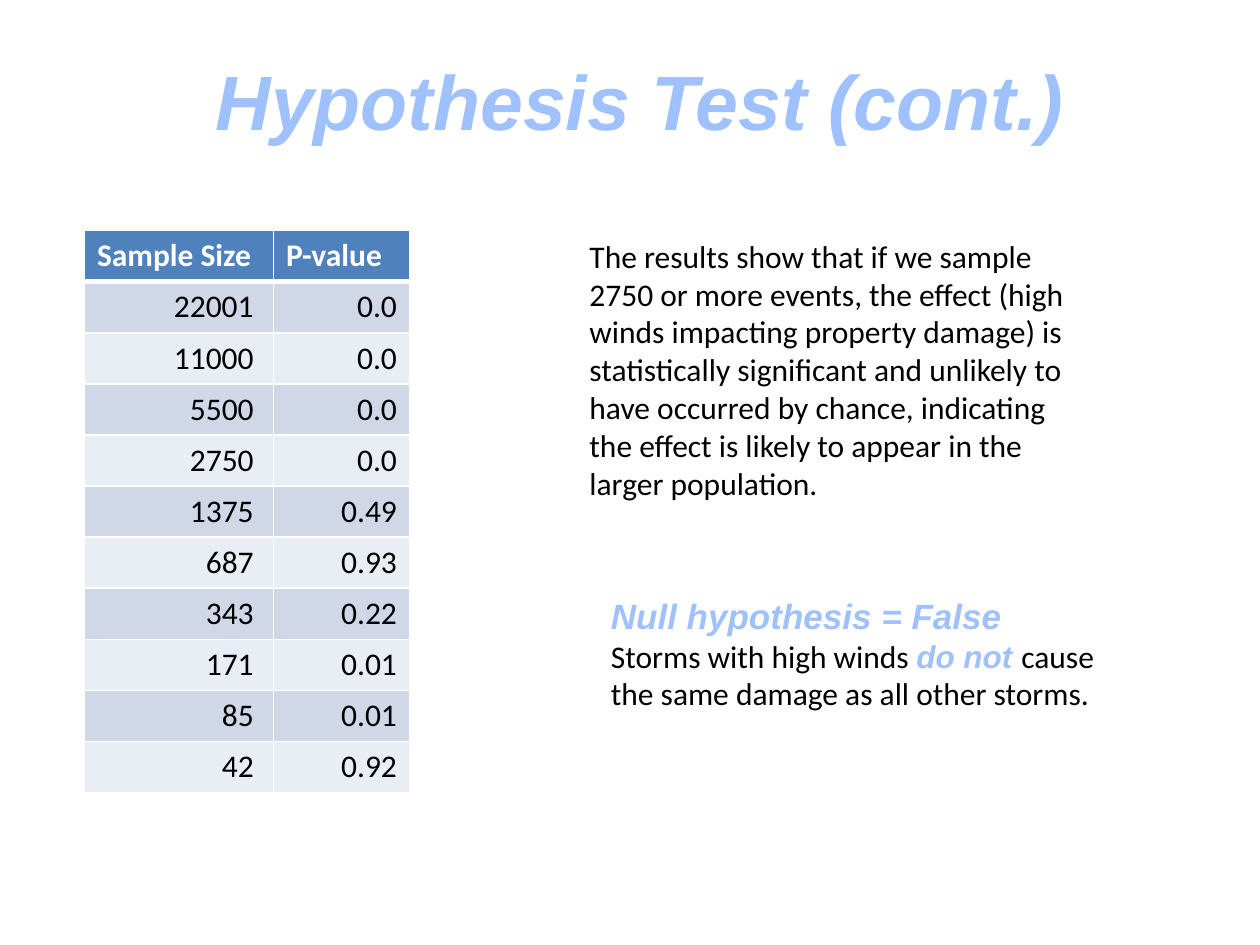
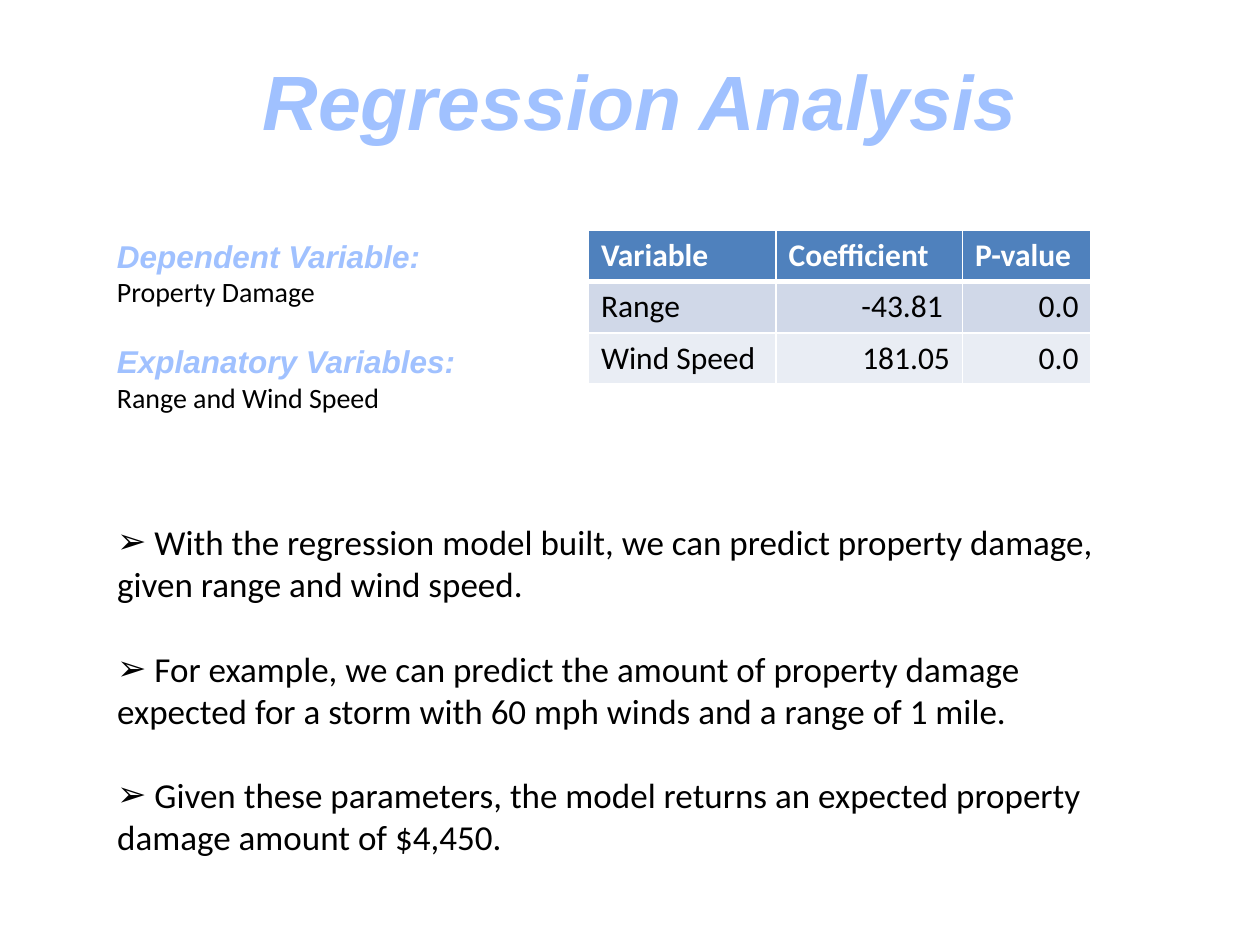
from lxml.etree import SubElement, fromstring
from pptx import Presentation
from pptx.dml.color import RGBColor
from pptx.enum.text import MSO_ANCHOR, MSO_AUTO_SIZE, PP_ALIGN
from pptx.oxml.ns import nsdecls, qn
from pptx.util import Inches, Pt

BLACK = RGBColor(0x00, 0x00, 0x00)
WHITE = RGBColor(0xFF, 0xFF, 0xFF)
HEADER = RGBColor(0x4F, 0x81, 0xBD)
BANDS = (RGBColor(0xD0, 0xD8, 0xE8), RGBColor(0xE9, 0xED, 0xF4))
PALE = RGBColor(0xBF, 0xD3, 0xF9)
SKY = RGBColor(0xA0, 0xC1, 0xFF)
NAVY = RGBColor(0x00, 0x3D, 0x85)
OUTLINE = RGBColor(0x46, 0x7A, 0xB8)
ACCENT_STOPS = ((0, PALE), (9, SKY), (50, NAVY), (79, SKY), (100, PALE))

TITLE_BOX = (0.83, 0.25, 8.5, 1.09)
TOP = 1.83
ROW_HEIGHT = 4.46 / 11
LAYOUT_CONTENT, LAYOUT_TITLE_ONLY = 1, 5


def accent(r):
    """Give a run the outlined vertical gradient of the headings."""
    stops = "".join(f'<a:gs pos="{pos * 1000}"><a:srgbClr val="{color}"/></a:gs>'
                    for pos, color in ACCENT_STOPS)
    ns = nsdecls("a")
    line = (f'<a:ln {ns} w="{Pt(0.83)}"><a:solidFill><a:srgbClr val="{OUTLINE}"/>'
            '</a:solidFill></a:ln>')
    fill = (f'<a:gradFill {ns}><a:gsLst>{stops}</a:gsLst>'
            '<a:lin ang="5400000" scaled="0"/></a:gradFill>')
    rPr = r.font._element
    rPr.insert(0, fromstring(line))
    rPr.insert(1, fromstring(fill))


def add_run(p, text, size=18, color=BLACK, bold=False, fancy=False):
    """Add a run in body style, or in the heading style when fancy."""
    r = p.add_run()
    r.text = text
    r.font.size = Pt(size)
    r.font.name = "Arial" if fancy else "Calibri"
    r.font.bold = bold or fancy
    r.font.italic = fancy
    if fancy:
        accent(r)
    else:
        r.font.color.rgb = color


def write(tf, *paragraphs, align=PP_ALIGN.LEFT, gaps=(), bullet=None, **style):
    """Write paragraphs, each a string or a list of (text, style) runs.

    gaps holds the space in points before each paragraph.
    """
    for i, content in enumerate(paragraphs):
        p = tf.add_paragraph() if i else tf.paragraphs[0]
        p.alignment = align
        p.space_before = Pt(gaps[i] if gaps else 0)
        if bullet:
            pPr = p._p.get_or_add_pPr()
            pPr.set("marL", "0")
            pPr.set("indent", "0")
            SubElement(pPr, qn("a:buFont")).set("typeface", "Arial")
            SubElement(pPr, qn("a:buChar")).set("char", bullet)
        runs = [(content, {})] if isinstance(content, str) else content
        for text, own in runs:
            add_run(p, text, **{**style, **own})


def place(sp, box):
    """Move a shape to a box of left, top, width, height in inches."""
    sp.left, sp.top, sp.width, sp.height = map(Inches, box)


def add_slide(prs, layout, title):
    """Add a slide with the shared title."""
    s = prs.slides.add_slide(prs.slide_layouts[layout])
    sp = s.shapes.title
    place(sp, TITLE_BOX)
    sp.text_frame.vertical_anchor = MSO_ANCHOR.MIDDLE
    write(sp.text_frame, title, align=PP_ALIGN.CENTER, size=44, fancy=True)
    return s


def add_text(s, box, *paragraphs, **style):
    """Add a wrapping text box."""
    tf = s.shapes.add_textbox(*map(Inches, box)).text_frame
    tf.word_wrap = True
    write(tf, *paragraphs, **style)


def set_borders(cell, **widths):
    """Draw white cell borders; widths in points by side (L, R, T, B)."""
    tcPr = cell._tc.get_or_add_tcPr()
    for side in "LRTB":
        ln = SubElement(tcPr, qn(f"a:ln{side}"), w=str(Pt(widths.get(side, 1))))
        fill = SubElement(ln, qn("a:solidFill"))
        SubElement(fill, qn("a:srgbClr"), val=str(WHITE))


def add_banded_table(s, left, top, widths, rows, text_columns=0):
    """Add a table with a blue header; figures after text_columns go right."""
    box = (left, top, sum(widths), ROW_HEIGHT * len(rows))
    table = s.shapes.add_table(len(rows), len(widths), *map(Inches, box)).table
    for column, width in zip(table.columns, widths):
        column.width = Inches(width)
    for i, row in enumerate(rows):
        table.rows[i].height = Inches(ROW_HEIGHT)
        for j, text in enumerate(row):
            cell = table.cell(i, j)
            head = i == 0
            set_borders(cell, B=3 if head else 1, T=3 if i == 1 else 1)
            cell.fill.solid()
            cell.fill.fore_color.rgb = HEADER if head else BANDS[(i - 1) % 2]
            left_side = head or j < text_columns
            write(cell.text_frame, text, bold=head,
                  color=WHITE if head else BLACK,
                  align=PP_ALIGN.LEFT if left_side else PP_ALIGN.RIGHT)


def add_bullets(s, box, *items, size=20):
    """Fill the body placeholder with arrow bullets, one blank line apart."""
    sp = s.placeholders[1]
    place(sp, box)
    sp.text_frame.auto_size = MSO_AUTO_SIZE.NONE
    gaps = [0] + [size * 1.22] * (len(items) - 1)
    write(sp.text_frame, *items, gaps=gaps, bullet="\u27a2", size=size)


def hypothesis_slide(prs):
    """Build the slide of p-values by sample size."""
    s = add_slide(prs, LAYOUT_TITLE_ONLY, "Hypothesis Test (cont.)")
    p_values = ((22001, "0.0"), (11000, "0.0"), (5500, "0.0"), (2750, "0.0"),
                (1375, "0.49"), (687, "0.93"), (343, "0.22"), (171, "0.01"),
                (85, "0.01"), (42, "0.92"))
    rows = [("Sample Size", "P-value")]
    rows += [(f"{size} ", value) for size, value in p_values]
    add_banded_table(s, 0.67, TOP, (1.5, 1.08), rows)
    add_text(s, (4.58, TOP, 4.08, 2.22),
             "The results show that if we sample 2750 or more events, the effect "
             "(high winds impacting property damage) is statistically significant "
             "and unlikely to have occurred by chance, indicating the effect is "
             "likely to appear in the larger population.")
    add_text(s, (4.75, 4.67, 4.08, 1.04),
             [("Null hypothesis = False", {"size": 20, "fancy": True})],
             [("Storms with high winds ", {}), ("do not ", {"fancy": True}),
              ("cause the same damage as all other storms.", {})])


def regression_slide(prs):
    """Build the slide of regression variables, coefficients and findings."""
    s = add_slide(prs, LAYOUT_CONTENT, "Regression Analysis")
    add_banded_table(s, 4.67, TOP, (1.49, 1.48, 1.02),
                     [("Variable", "Coefficient", "P-value"),
                      ("Range", "-43.81 ", "0.0"),
                      ("Wind Speed", "181.05", "0.0")], text_columns=1)
    heading = {"size": 18, "fancy": True}
    add_text(s, (0.83, TOP, 3.08, 1.51),
             [("Dependent Variable: ", heading)], "Property Damage",
             [("Explanatory Variables: ", heading)], "Range and Wind Speed",
             size=16, gaps=(0, 0, 19.5, 0))
    add_bullets(s, (0.83, 4.08, 8.25, 3.42),
                " With the regression model built, we can predict property "
                "damage, given range and wind speed.",
                " For example, we can predict the amount of property damage "
                "expected for a storm with 60 mph winds and a range of 1 mile.",
                " Given these parameters, the model returns an expected property "
                "damage amount of $4,450.")


prs = Presentation()
prs.slide_width, prs.slide_height = Inches(10), Inches(7.5)
hypothesis_slide(prs)
regression_slide(prs)
prs.save("out.pptx")
